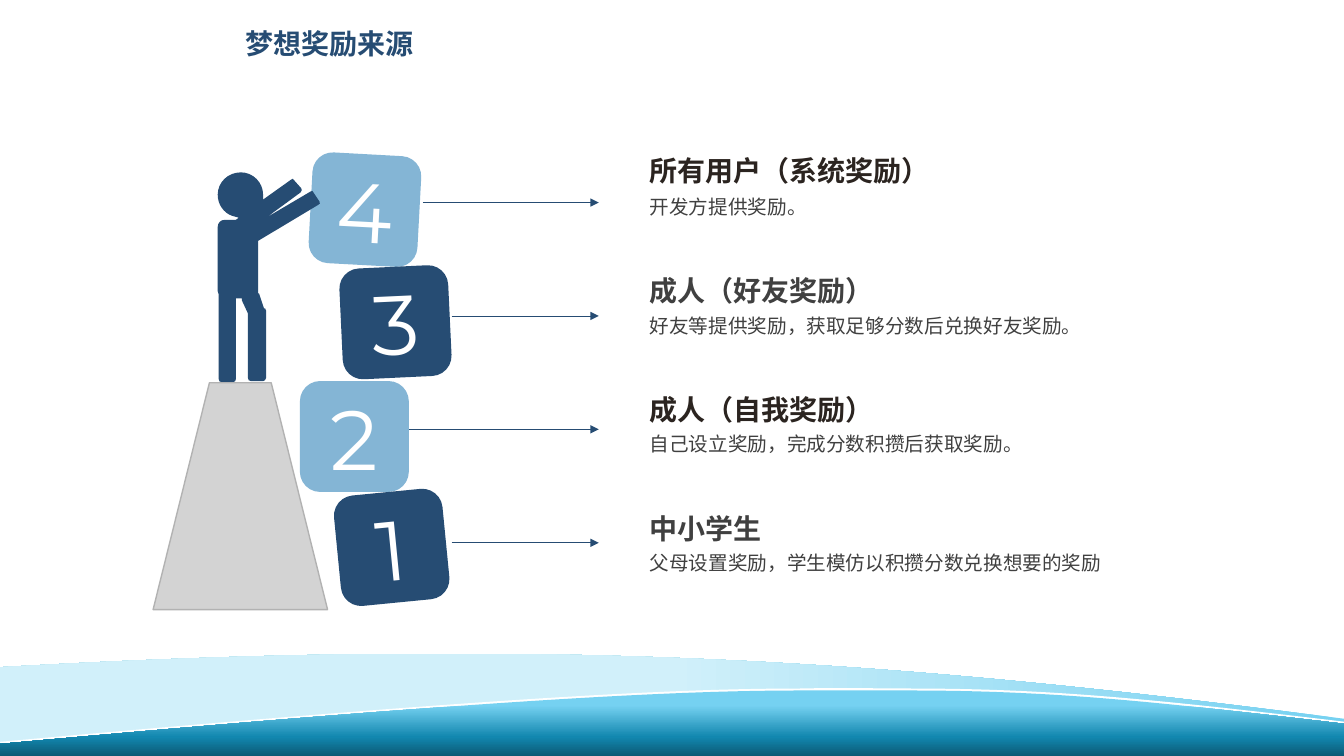
from copy import deepcopy

from lxml import etree
from pptx import Presentation
from pptx.dml.color import RGBColor
from pptx.enum.shapes import MSO_CONNECTOR, MSO_SHAPE
from pptx.enum.text import MSO_ANCHOR, MSO_AUTO_SIZE, PP_ALIGN
from pptx.oxml.ns import qn
from pptx.util import Pt

STRAIGHT = MSO_CONNECTOR.STRAIGHT
ROUNDED, TRAPEZOID = MSO_SHAPE.ROUNDED_RECTANGLE, MSO_SHAPE.TRAPEZOID
TOP, MIDDLE = MSO_ANCHOR.TOP, MSO_ANCHOR.MIDDLE
LEFT, CENTER = PP_ALIGN.LEFT, PP_ALIGN.CENTER
FIT_SHAPE = MSO_AUTO_SIZE.SHAPE_TO_FIT_TEXT

COLORS = {
    "navy": "264C73", "light": "84B5D5", "white": "FFFFFF",
    "ink": "2B2420", "text": "404040", "stone": "D3D3D3", "edge": "B2B2B2",
    "sky": "75D1F1", "pale": "D1F0FA", "sea": "1287AF", "deep": "0C5A75",
}
RGB = {name: RGBColor.from_string(value) for name, value in COLORS.items()}

prs = Presentation()
prs.slide_width, prs.slide_height = Pt(960), Pt(540)
s = prs.slides.add_slide(prs.slide_layouts[5])


def add_outline(start, *segments):
    builder = s.shapes.build_freeform(start[0] * 100, start[1] * 100, scale=Pt(1) / 100)
    builder.add_line_segments([(seg[-2] * 100, seg[-1] * 100) for seg in segments], close=True)
    sp = builder.convert_to_shape()
    dx, dy = builder.shape_offset_x, builder.shape_offset_y
    lines = list(sp._element.spPr.iter(qn("a:lnTo")))
    for line, seg in zip(lines, segments):
        if len(seg) == 6:
            line.tag = qn("a:cubicBezTo")
            for i, (x, y) in enumerate([seg[:2], seg[2:4]]):
                pt = etree.Element(qn("a:pt"), x=str(round(x * 100 - dx)),
                                   y=str(round(y * 100 - dy)))
                line.insert(i, pt)
    sp.shadow.inherit = False
    sp.line.fill.background()
    return sp


def set_text(sp, text, size, color, bold, spacing, font, anchor, align):
    tf = sp.text_frame
    tf.vertical_anchor = anchor
    p = tf.paragraphs[0]
    p.text = text
    p.alignment = align
    p.line_spacing = spacing
    p.font.size, p.font.bold, p.font.name = Pt(size), bold, font
    p.font.color.rgb = RGB[color]
    return tf


back_wave = add_outline(
    (0, 476.6), (118.9, 469.8, 223.8, 466.8, 319.4, 466.8),
    (566.6, 466.8, 752.2, 486.9, 960, 513.4),
    (960, 527.8), (627.8, 461.5, 347.8, 517, 0, 533.5))
crest = add_outline(
    (574.6, 491.8), (601.2, 491, 622.8, 491.8, 647.3, 491.8),
    (745.9, 491.8, 814.3, 498.2, 960, 515.5), (960, 522.7),
    (814.3, 505.4, 745.9, 499, 647.3, 499), (622.8, 499.7, 601.2, 499, 574.6, 499),
    (495.4, 499, 373.7, 504, 0, 537.1), (0, 529.9),
    (373.7, 496.1, 495.4, 491.8, 574.6, 491.8))
crest.fill.solid()
crest.fill.fore_color.rgb = RGB["white"]
front_wave = add_outline(
    (574.6, 493.2), (601.2, 493.2, 622.8, 493.2, 647.3, 493.2),
    (745.9, 493.2, 814.3, 499.7, 960, 517),
    (960, 540), (0, 540), (0, 531.4), (373.7, 497.5, 495.4, 493.2, 574.6, 493.2))

gradients = [
    (back_wave, 180, [(0, "sky"), (0.5, "pale"), (1, "pale")]),
    (front_wave, 270, [(0.23, "sky"), (0.71, "sea"), (1, "deep")]),
]
for sp, angle, stops in gradients:
    sp.fill.gradient()
    sp.fill.gradient_angle = angle
    stop_list = sp._element.spPr.find(".//" + qn("a:gsLst"))
    stop_list.append(deepcopy(stop_list[0]))
    for stop, (position, color) in zip(sp.fill.gradient_stops, stops):
        stop.position = position
        stop.color.rgb = RGB[color]

title = s.shapes.title
title.left, title.top, title.width, title.height = Pt(167.8), Pt(7.9), Pt(150), Pt(38.9)
tf = set_text(title, "梦想奖励来源", 20, "navy", True, 1.3, "Arial", TOP, LEFT)
tf.word_wrap = True
tf.auto_size = FIT_SHAPE

levels = [
    ("4", 221.8, 110.2, 3.1, "light", 302, "ink", "所有用户（系统奖励）", "开发方提供奖励。"),
    ("3", 243.6, 190.6, -2.7, "navy", 322.6, "text", "成人（好友奖励）",
     "好友等提供奖励，获取足够分数后兑换好友奖励。"),
    ("2", 214.2, 272.2, 0, "light", 292.3, "ink", "成人（自我奖励）",
     "自己设立奖励，完成分数积攒后获取奖励。"),
    ("1", 240.9, 351.4, -5.6, "navy", 322.6, "text", "中小学生",
     "父母设置奖励，学生模仿以积攒分数兑换想要的奖励"),
]
for i, (digit, x, y, turn, fill, arrow_x, ink, heading, detail) in enumerate(levels):
    block = s.shapes.add_shape(ROUNDED, Pt(x), Pt(y), Pt(77.8), Pt(79.2))
    block.adjustments[0] = 0.186
    block.rotation = turn
    block.shadow.inherit = False
    block.fill.solid()
    block.fill.fore_color.rgb = RGB[fill]
    block.line.fill.background()
    set_text(block, digit, 60, "white", False, 1, "Montserrat", MIDDLE, CENTER)

    arrow_y = Pt(144.7 + 81 * i)
    arrow = s.shapes.add_connector(STRAIGHT, Pt(arrow_x), arrow_y, Pt(427.7), arrow_y)
    arrow.line.color.rgb = RGB["navy"]
    arrow.line.width = Pt(0.5)
    etree.SubElement(arrow.line._get_or_add_ln(), qn("a:tailEnd"), type="triangle")
    etree.SubElement(arrow._element.spPr, qn("a:effectLst"))

    captions = [
        (detail, 136.1 + 84.6 * i, 386, 43.2, 14, "text", False, 1.2, TOP),
        (heading, 100.4 + 85.1 * i, 252.7, 36, 20, ink, True, 1.3, MIDDLE),
    ]
    for text, top, width, height, size, color, bold, spacing, anchor in captions:
        box = s.shapes.add_textbox(Pt(464), Pt(top), Pt(width), Pt(height))
        tf = set_text(box, text, size, color, bold, spacing, "Montserrat", anchor, LEFT)
        tf.word_wrap = True
        tf.margin_left = tf.margin_right = tf.margin_top = tf.margin_bottom = 0

person = add_outline(
    (172.1, 123.1), (180.7, 123.1, 187.9, 130.3, 187.9, 139),
    (187.9, 140.4, 187.9, 141.1, 187.9, 142.6), (187.9, 142.6),
    (208.1, 128.2), (208.8, 127.4, 209.5, 127.4, 210.2, 128.9),
    (215.3, 134.6), (216, 135.4, 215.3, 136.8, 214.6, 137.5),
    (190.1, 155.5), (221.8, 136.8), (222.5, 136.1, 223.9, 136.1, 223.9, 137.5),
    (228.2, 144), (229, 144.7, 228.2, 146.2, 227.5, 146.2),
    (184.3, 172.1), (184.3, 208.1), (184.3, 209.5), (185, 209.5),
    (188.6, 220.3), (189.4, 220.3),
    (189.4, 221, 190.1, 221.8, 190.1, 221.8), (190.1, 270),
    (190.1, 271.4, 188.6, 272.2, 187.9, 272.2), (179.3, 272.2),
    (177.8, 272.2, 177.1, 271.4, 177.1, 270), (177.1, 223.9),
    (172.8, 214.6), (172.8, 213.1), (168.5, 213.1), (168.5, 270.7),
    (168.5, 272.2, 167.8, 272.9, 166.3, 272.9), (158.4, 272.9),
    (157, 272.9, 156.2, 272.2, 156.2, 270.7), (156.2, 211), (156.2, 210.2), (156.2, 210.2),
    (155.5, 209.5, 155.5, 208.8, 155.5, 208.1), (155.5, 162),
    (155.5, 159.1, 157.7, 157, 160.6, 157), (168.5, 157), (170.6, 155.5),
    (165.6, 154.1), (159.8, 151.9, 155.5, 146.2, 155.5, 139),
    (155.5, 130.3, 162.7, 123.1, 172.1, 123.1))
person.fill.solid()
person.fill.fore_color.rgb = RGB["navy"]

pedestal = s.shapes.add_shape(TRAPEZOID, Pt(109.4), Pt(273.4), Pt(124.6), Pt(162))
pedestal.adjustments[0] = 0.323
pedestal.shadow.inherit = False
pedestal.fill.solid()
pedestal.fill.fore_color.rgb = RGB["stone"]
pedestal.line.color.rgb = RGB["edge"]
pedestal.line.width = Pt(1)

prs.save("out.pptx")
